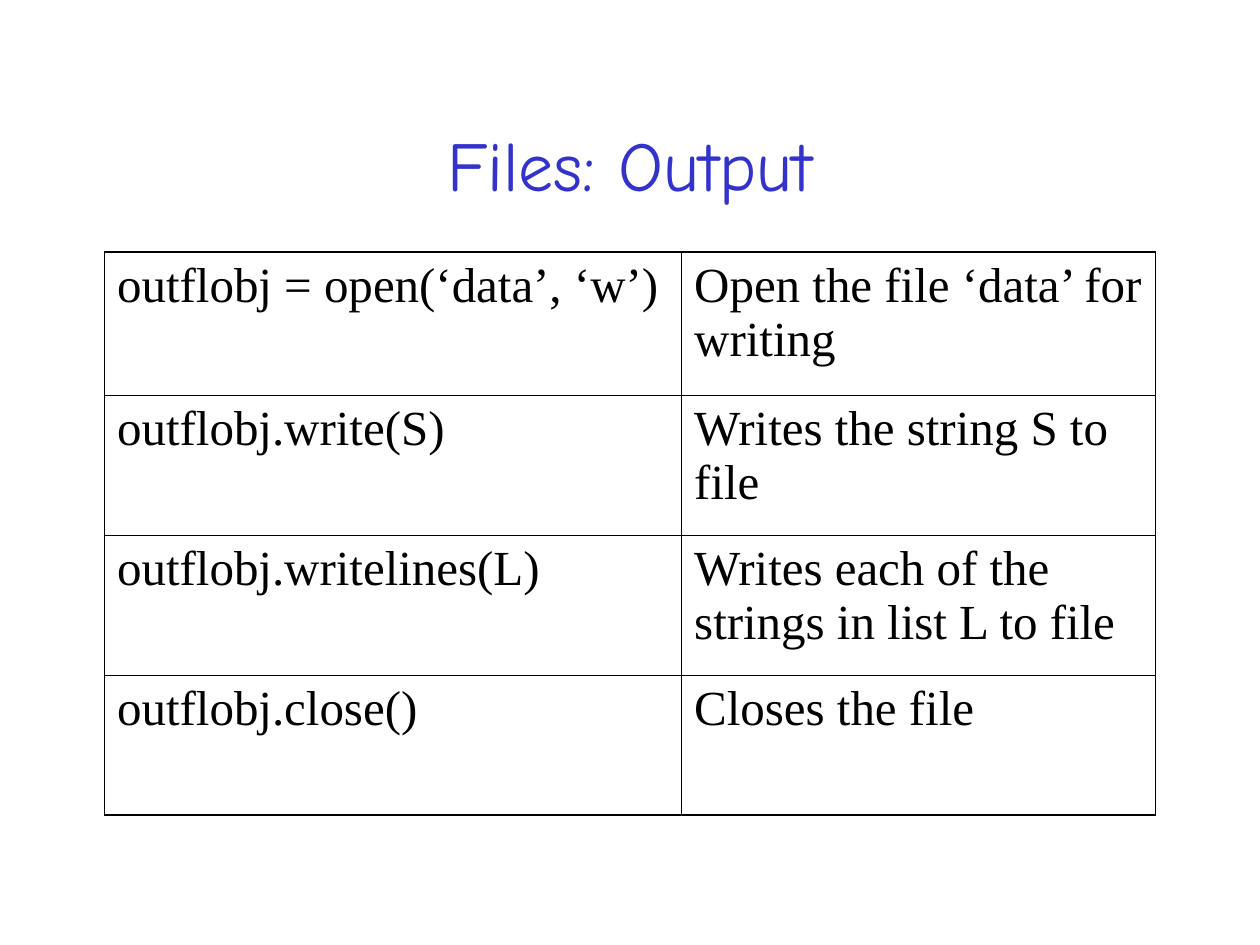
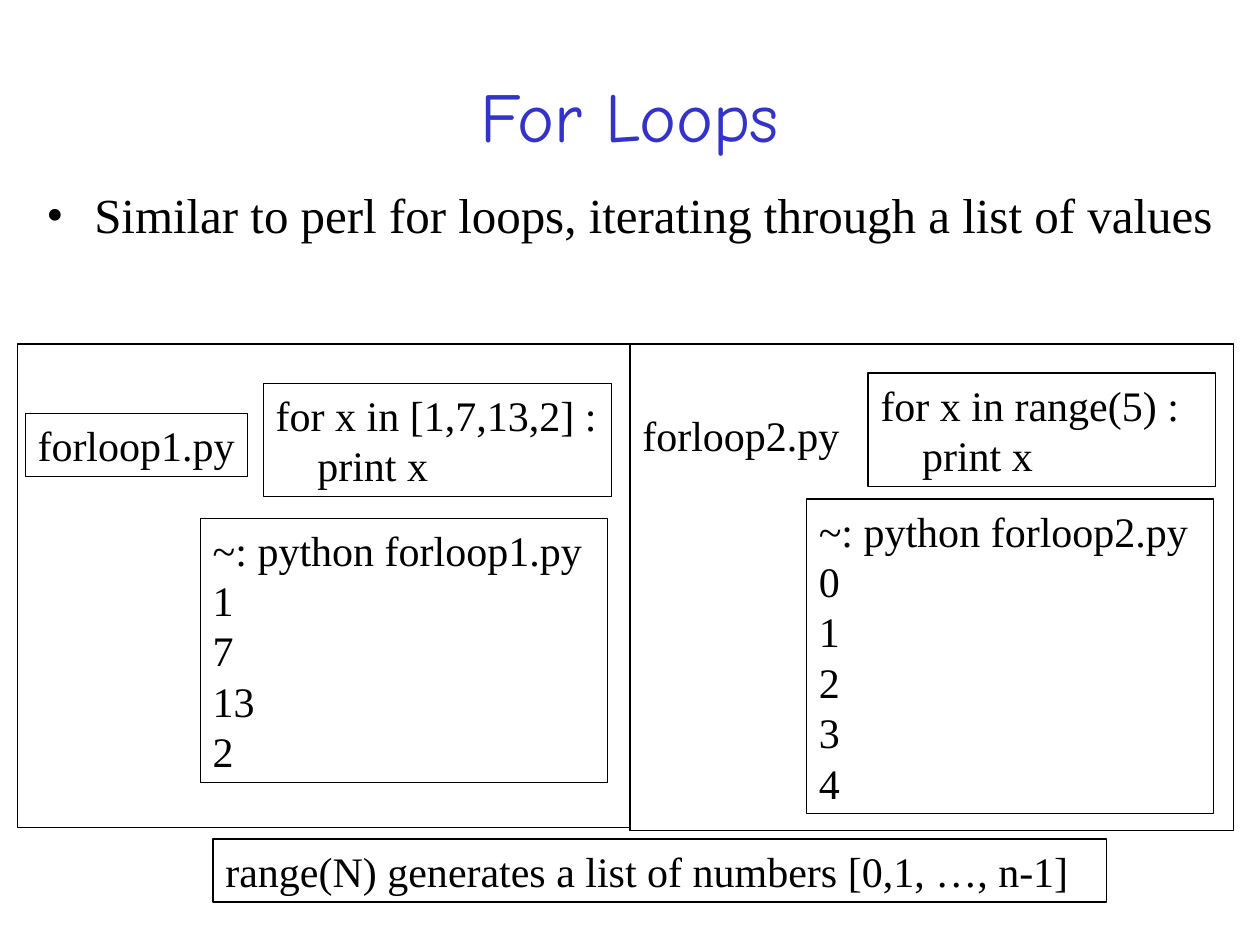
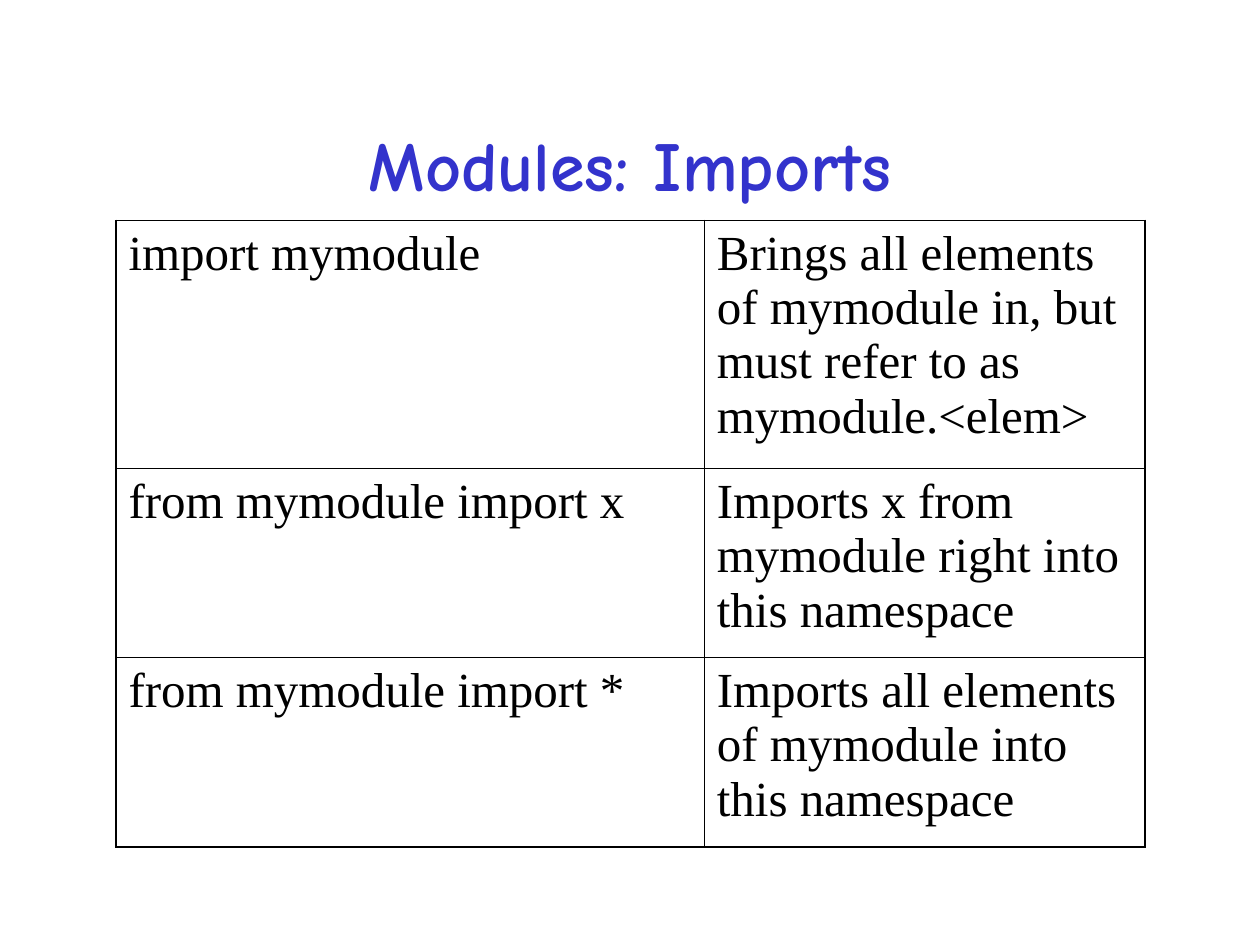
from dataclasses import dataclass

from lxml import etree
from pptx import Presentation
from pptx.dml.color import RGBColor
from pptx.enum.shapes import MSO_SHAPE
from pptx.enum.text import MSO_ANCHOR, MSO_AUTO_SIZE, PP_ALIGN
from pptx.oxml.ns import qn
from pptx.util import Inches, Pt

RECTANGLE = MSO_SHAPE.RECTANGLE
MIDDLE = MSO_ANCHOR.MIDDLE
CENTER = PP_ALIGN.CENTER
NO_FIT = MSO_AUTO_SIZE.NONE
GROW = MSO_AUTO_SIZE.SHAPE_TO_FIT_TEXT

# Shared style
COLORS = {"title": "3333CC", "ink": "000000"}
TITLE_FONT, BODY_FONT = "Comic Neue", "Times New Roman"
TITLE_SIZE, BODY_SIZE, CODE_SIZE = 40, 28, 24
OUTER_LINE, INNER_LINE = 1.08, 0.45
TITLE_ONLY = 5
CODE_INDENT = 0.33
LABEL_MARGIN = 0.05


@dataclass
class Area:
    left: float
    top: float
    width: float
    height: float

    def lengths(self) -> list:
        return [Inches(n) for n in (self.left, self.top, self.width, self.height)]


@dataclass
class CommandTable:
    left: float
    top: float
    columns: list[float]
    heights: list[float]
    rows: list[tuple[str, str]]


@dataclass
class CodeBox:
    area: Area
    lines: list[str]
    outline: float = 0.75
    wrap: bool = True
    indented: bool = False  # lines after the first form the loop body


TITLE_AREA = Area(0.75, 0.67, 8.5, 1.25)

# Slide content
OUTPUT_TABLE = CommandTable(0.83, 2, [4.58, 3.76], [1.14, 1.11, 1.11, 1.11], [
    ("outflobj = open(‘data’, ‘w’)", "Open the file ‘data’ for writing"),
    ("outflobj.write(S)", "Writes the string S to file"),
    ("outflobj.writelines(L)", "Writes each of the strings in list L to file"),
    ("outflobj.close()", "Closes the file"),
])

IMPORT_TABLE = CommandTable(0.92, 1.75, [4.67, 3.5], [1.97, 1.5, 1.5], [
    ("import mymodule",
     "Brings all elements of mymodule in, but must refer to as mymodule.<elem>"),
    ("from mymodule import x", "Imports x from mymodule right into this namespace"),
    ("from mymodule import *", "Imports all elements of mymodule into this namespace"),
])

LOOP_BOXES = [
    CodeBox(Area(1.59, 4.11, 3.23, 2.1),
            ["~: python forloop1.py", "1", "7", "13", "2"], 0.25),
    CodeBox(Area(2.09, 3.04, 2.76, 0.9),
            ["for x in [1,7,13,2] :", "print x"], 0.25, indented=True),
    CodeBox(Area(0.2, 3.28, 1.76, 0.5), ["forloop1.py"], 0.25, wrap=False),
    CodeBox(Area(6.4, 3.96, 3.23, 2.5),
            ["~: python forloop2.py", "0", "1", "2", "3", "4"]),
    CodeBox(Area(6.89, 2.96, 2.76, 0.9),
            ["for x in range(5) :", "print x"], indented=True),
    CodeBox(Area(5, 3.2, 1.76, 0.5), ["forloop2.py"], 0, wrap=False),
    CodeBox(Area(1.69, 6.66, 7.09, 0.5),
            ["range(N) generates a list of numbers [0,1, …, n-1]"]),
]
LOOP_FRAMES = [Area(0.14, 2.73, 4.86, 3.84), Area(5, 2.73, 4.79, 3.86)]


def color(name: str) -> RGBColor:
    return RGBColor.from_string(COLORS[name])


def style(para, size: float, font: str = BODY_FONT, ink: str = "ink") -> None:
    para.font.name = font
    para.font.size = Pt(size)
    para.font.color.rgb = color(ink)


def set_outline(shape, width: float) -> None:
    shape.line.color.rgb = color("ink")
    shape.line.width = Pt(width)


def add_page(deck, title: str, area: Area = TITLE_AREA, bold: bool = False):
    page = deck.slides.add_slide(deck.slide_layouts[TITLE_ONLY])
    box = page.shapes.title
    box.left, box.top, box.width, box.height = area.lengths()
    frame = box.text_frame
    frame.text = title
    frame.auto_size = NO_FIT
    frame.vertical_anchor = MIDDLE
    para = frame.paragraphs[0]
    para.alignment = CENTER
    style(para, TITLE_SIZE, TITLE_FONT, "title")
    para.font.bold = bold
    return page


def add_border(cell, side: str, width: float) -> None:
    properties = cell._tc.get_or_add_tcPr()
    line = etree.SubElement(properties, qn(f"a:ln{side}"), w=str(Pt(width)))
    fill = etree.SubElement(line, qn("a:solidFill"))
    etree.SubElement(fill, qn("a:srgbClr"), val=COLORS["ink"])


def add_command_table(page, content: CommandTable) -> None:
    area = Area(content.left, content.top, sum(content.columns), sum(content.heights))
    last_row, last_column = len(content.rows) - 1, len(content.columns) - 1
    table = page.shapes.add_table(last_row + 1, last_column + 1, *area.lengths()).table
    table.first_row = table.horz_banding = False
    for column, width in zip(table.columns, content.columns):
        column.width = Inches(width)
    for r, (height, texts) in enumerate(zip(content.heights, content.rows)):
        table.rows[r].height = Inches(height)
        for c, text in enumerate(texts):
            cell = table.cell(r, c)
            cell.text = text
            para = cell.text_frame.paragraphs[0]
            para.space_before = Pt(7)
            style(para, BODY_SIZE)
            on_edge = {"L": c == 0, "R": c == last_column,
                       "T": r == 0, "B": r == last_row}
            for side, outer in on_edge.items():
                add_border(cell, side, OUTER_LINE if outer else INNER_LINE)
            cell.fill.background()


def add_bullet(page, area: Area, text: str) -> None:
    frame = page.shapes.add_textbox(*area.lengths()).text_frame
    frame.word_wrap = True
    frame.text = text
    para = frame.paragraphs[0]
    para.line_spacing = 0.9
    para.space_before = Pt(7)
    properties = para._p.get_or_add_pPr()
    properties.set("marL", str(Inches(0.38)))
    properties.set("indent", str(Inches(-0.38)))
    etree.SubElement(properties, qn("a:buFont"), typeface=BODY_FONT)
    etree.SubElement(properties, qn("a:buChar"), char="•")
    style(para, BODY_SIZE)


def add_code_box(page, content: CodeBox) -> None:
    box = page.shapes.add_textbox(*content.area.lengths())
    if content.outline:
        set_outline(box, content.outline)
    frame = box.text_frame
    frame.word_wrap = content.wrap
    frame.auto_size = GROW
    if not content.wrap:
        # Leave the tight file-name labels room for one line
        frame.margin_right = Inches(LABEL_MARGIN)
    frame.text = "\n".join(content.lines)
    for number, para in enumerate(frame.paragraphs):
        style(para, CODE_SIZE)
        if content.indented and number:
            para._p.get_or_add_pPr().set("marL", str(Inches(CODE_INDENT)))


def add_frame(page, area: Area) -> None:
    frame = page.shapes.add_shape(RECTANGLE, *area.lengths())
    frame.shadow.inherit = False
    frame.fill.background()
    set_outline(frame, 0.75)


def main() -> None:
    deck = Presentation()
    deck.slide_width, deck.slide_height = Inches(10), Inches(7.5)

    # File output
    add_command_table(add_page(deck, "Files: Output"), OUTPUT_TABLE)

    # For loops
    page = add_page(deck, "For Loops", Area(0.75, 0.44, 8.5, 0.94))
    add_bullet(page, Area(0.27, 1.47, 9.53, 0.79),
               "Similar to perl for loops, iterating through a list of values")
    for content in LOOP_BOXES:
        add_code_box(page, content)
    for area in LOOP_FRAMES:
        add_frame(page, area)

    # Module imports
    add_command_table(add_page(deck, "Modules: Imports", bold=True), IMPORT_TABLE)

    deck.save("out.pptx")


if __name__ == "__main__":
    main()
